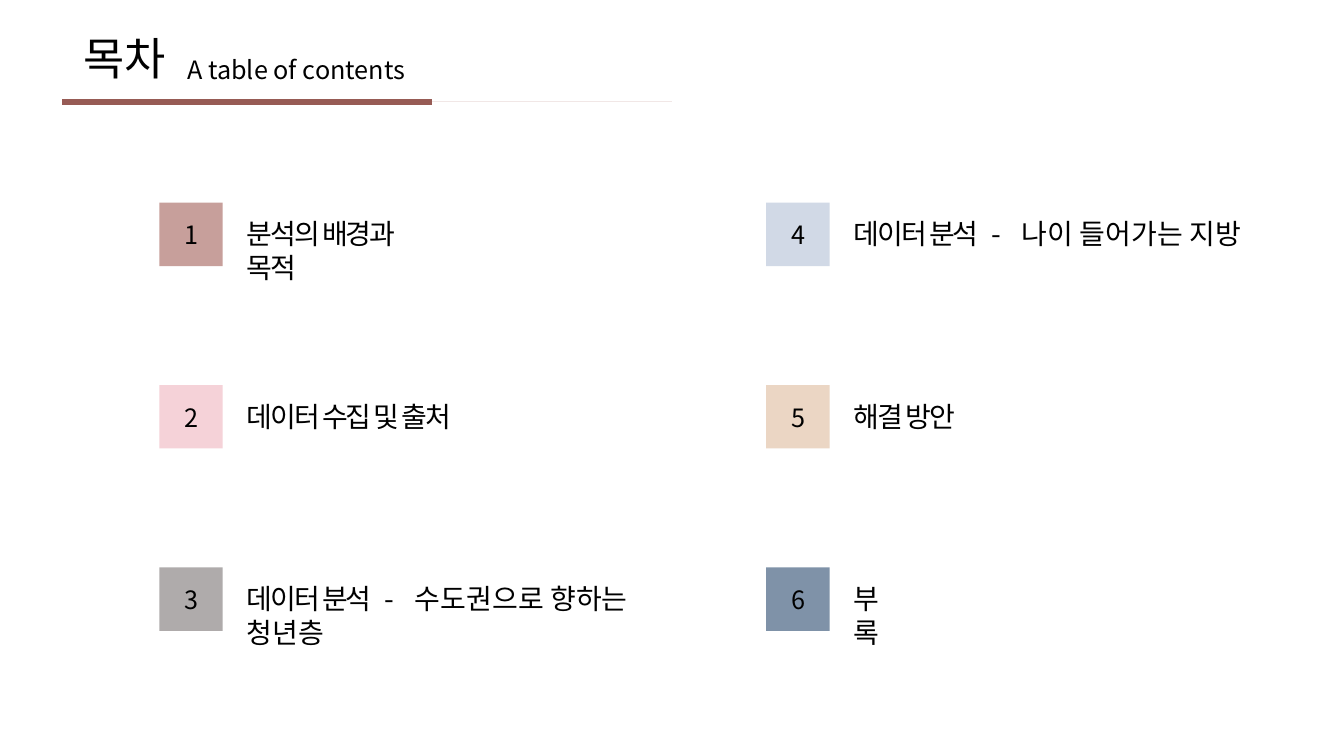
from lxml.etree import SubElement
from pptx import Presentation
from pptx.dml.color import RGBColor
from pptx.enum.shapes import MSO_CONNECTOR, MSO_SHAPE
from pptx.enum.text import MSO_ANCHOR, MSO_AUTO_SIZE, PP_ALIGN
from pptx.oxml.ns import qn
from pptx.util import Pt

PX = 9144  # 100 px to the inch
FONT = "Noto Sans CJK KR"
BLACK = RGBColor(0x00, 0x00, 0x00)
PALE = RGBColor(0xF1, 0xE7, 0xE6)
BRICK = RGBColor(0x97, 0x5B, 0x55)
ROSE = RGBColor(0xC7, 0x9F, 0x9B)
PINK = RGBColor(0xF5, 0xD2, 0xD8)
GRAY = RGBColor(0xAF, 0xAB, 0xAB)
MIST = RGBColor(0xD1, 0xD9, 0xE6)
SAND = RGBColor(0xEB, 0xD6, 0xC4)
SLATE = RGBColor(0x7F, 0x92, 0xA8)

TIGHT, WIDE = -150, 500  # letter spacing, hundredths of a point
FRAME = {"auto_size": MSO_AUTO_SIZE.NONE, "vertical_anchor": MSO_ANCHOR.TOP,
         "margin_left": 10 * PX, "margin_right": 10 * PX,
         "margin_top": 5 * PX, "margin_bottom": 5 * PX}

deck = Presentation()
deck.slide_width, deck.slide_height = 1333 * PX, 750 * PX
slide = deck.slides.add_slide(deck.slide_layouts[5])


def write(shape, runs, size, align=PP_ALIGN.LEFT, wrap=False):
    """Fill a shape with (text, letter spacing) runs."""
    frame = shape.text_frame
    for key, value in {**FRAME, "word_wrap": wrap}.items():
        setattr(frame, key, value)
    para = frame.paragraphs[0]
    para.alignment = align
    for text, gap in runs:
        run = para.add_run()
        run.text = text
        for key, value in {"name": FONT, "size": Pt(size)}.items():
            setattr(run.font, key, value)
        run.font.color.rgb = BLACK
        props = run._r.get_or_add_rPr()
        props.set("spc", str(gap))
        SubElement(props, qn("a:ea")).set("typeface", FONT)


def place(left, top, width, height):
    return [n * PX for n in (left, top, width, height)]


# Heading
title = slide.shapes.title
title.left, title.top, title.width, title.height = place(73, 25, 102, 64)
write(title, [("목차", 0)], 32)
write(slide.shapes.add_textbox(*place(176, 49, 245, 40)),
      [("A table of contents", 0)], 18)

for end, color, weight in [(667, PALE, 0.5), (428, BRICK, 4.5)]:
    rule = slide.shapes.add_connector(
        MSO_CONNECTOR.STRAIGHT, *place(62, 101, end, 101))
    rule.line.color.rgb = color
    rule.line.width = Pt(weight)
    SubElement(rule._element.spPr, qn("a:effectLst"))

# Contents: two columns of three, read downwards
DATA, DASH = ("데이터 분석", TIGHT), (" - ", WIDE)
items = [
    (ROSE, 218, [("분석의 배경과 목적", TIGHT)]),
    (PINK, 223, [("데이터 수집 및 출처", TIGHT)]),
    (GRAY, 467, [DATA, DASH, ("수도권으로 향하는 청년층", 0)]),
    (MIST, 509, [DATA, DASH, ("나이 들어가는 지방", 0)]),
    (SAND, 132, [("해결 방안", TIGHT)]),
    (SLATE, 67, [("부록", TIGHT)]),
]
for i, (color, width, label) in enumerate(items):
    col, row = divmod(i, 3)
    left, top = 158 + 602 * col, 201 + 181 * row
    square = slide.shapes.add_shape(MSO_SHAPE.RECTANGLE, *place(left, top, 63, 63))
    square.shadow.inherit = False
    square.fill.solid()
    square.fill.fore_color.rgb = color
    square.line.fill.background()
    write(slide.shapes.add_textbox(*place(left + 14, top + 12, 35, 40)),
          [(str(i + 1), 0)], 18, PP_ALIGN.CENTER)
    write(slide.shapes.add_textbox(*place(left + 77, top + 9, width, 44)),
          label, 20, wrap=True)

deck.save("out.pptx")
